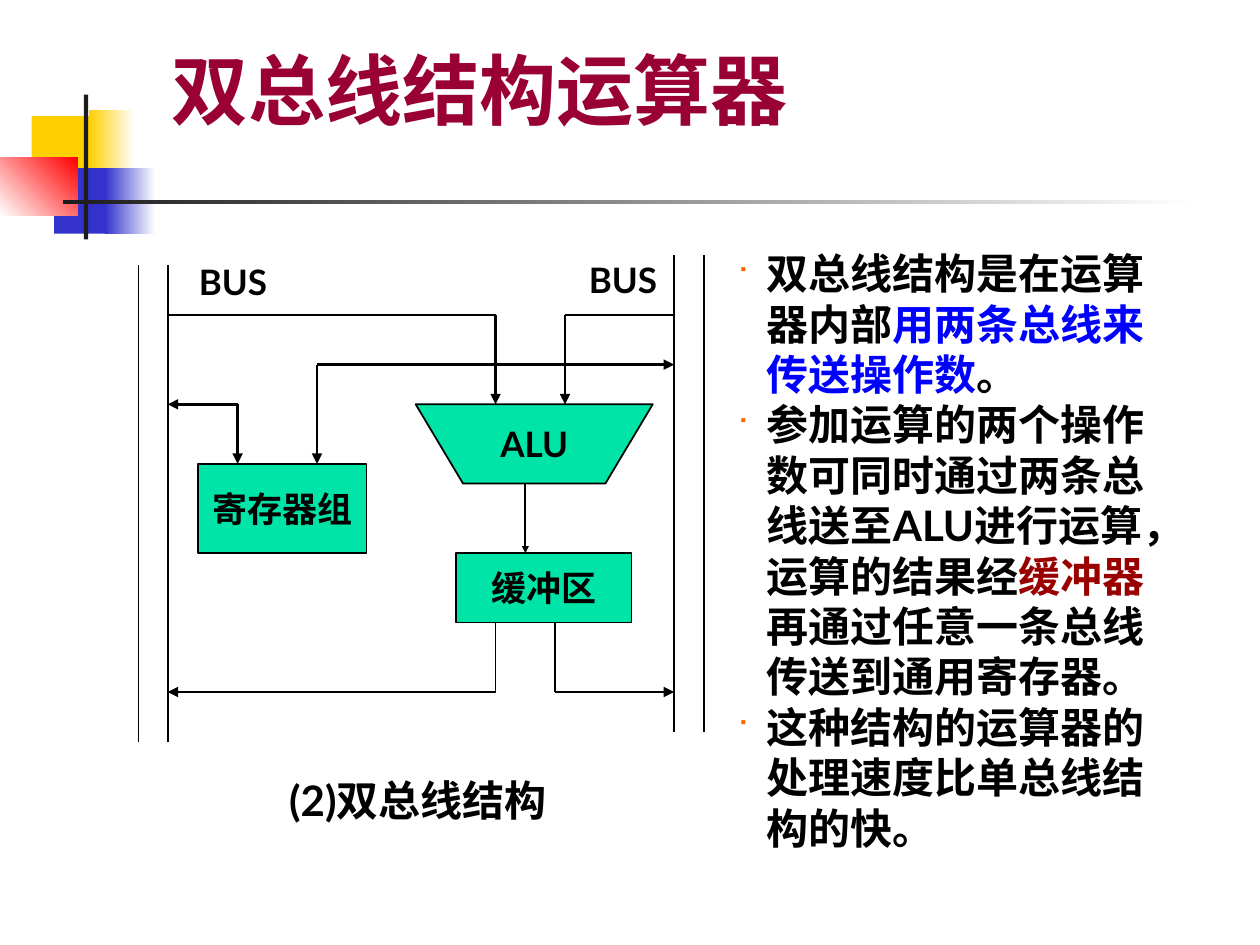
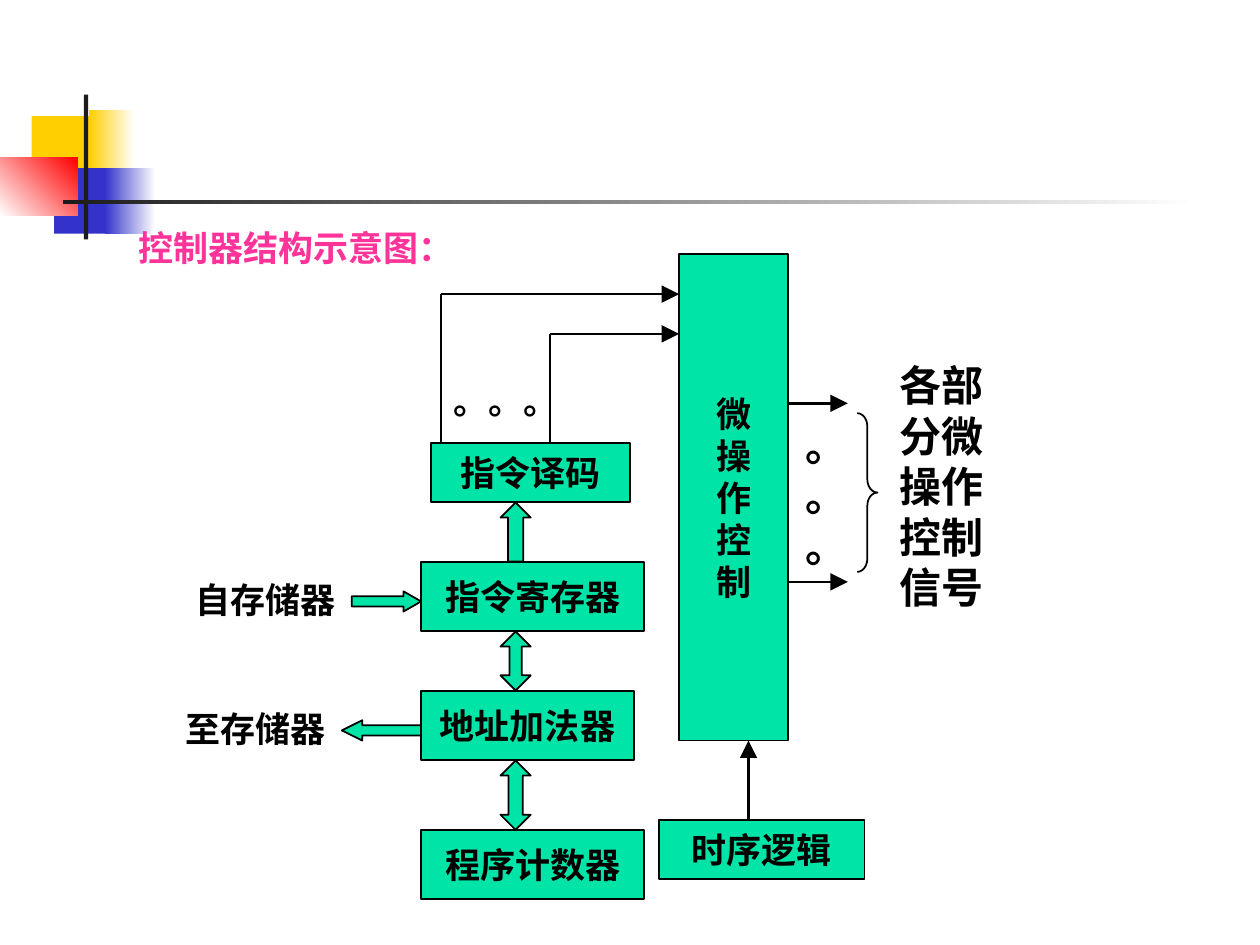
import pptx
import pptx.dml.color
import pptx.enum.lang
import pptx.enum.shapes
import pptx.enum.text
import pptx.oxml.ns
import pptx.util
import lxml.etree

Cm = pptx.util.Cm
SHAPE = pptx.enum.shapes.MSO_SHAPE
color = pptx.dml.color.RGBColor.from_string
qn = pptx.oxml.ns.qn

BLACK = "000000"
GREEN = "00E4A8"
YELLOW = "FFCF01"
NAVY = "3333CC"
DARK = "1C1C1C"
WHITE = "FFFFFF"
LATO = "Lato"
NOTO = "Noto Sans CJK SC"


def add_block(slide, kind, box, paragraphs=(), font=LATO, size=20, fill=GREEN, wrap=False):
    lengths = [Cm(value) for value in box]
    if kind is None:
        shape = slide.shapes.add_textbox(*lengths)
    else:
        shape = slide.shapes.add_shape(kind, *lengths)
        shape.shadow.inherit = False
        shape.line.color.rgb = color(BLACK)
        shape.line.width = pptx.util.Pt(1)
        if fill:
            shape.fill.solid()
            shape.fill.fore_color.rgb = color(fill)
        else:
            shape.fill.background()
    frame = shape.text_frame
    frame.word_wrap = wrap
    for index, runs in enumerate(paragraphs):
        paragraph = frame.add_paragraph() if index else frame.paragraphs[0]
        if kind is not None:
            paragraph.alignment = pptx.enum.text.PP_ALIGN.CENTER
        for text, ink in runs:
            run = paragraph.add_run()
            run.text = text
            run.font.size = pptx.util.Pt(size)
            run.font.bold = True
            run.font.color.rgb = color(ink)
            run.font.name = font
            run.font.language_id = pptx.enum.lang.MSO_LANGUAGE_ID.SIMPLIFIED_CHINESE
            lxml.etree.SubElement(run.font._element, qn("a:ea"), typeface=LATO)
    return shape


def add_line(slide, points, width=1.0, head=None):
    connector = slide.shapes.add_connector(
        pptx.enum.shapes.MSO_CONNECTOR.STRAIGHT, *[Cm(value) for value in points])
    connector.line.color.rgb = color(BLACK)
    connector.line.width = pptx.util.Pt(width)
    if head:
        lxml.etree.SubElement(connector.line._get_or_add_ln(), qn("a:tailEnd"),
                              type="triangle", w=head, len=head)
    lxml.etree.SubElement(connector._element.spPr, qn("a:effectLst"))


presentation = pptx.Presentation()
presentation.slide_width = Cm(25.4)
presentation.slide_height = Cm(19.05)

decorations = [
    ((0.64, 2.34, 1.22, 1.32), YELLOW, None, 0),
    ((1.8, 2.21, 0.91, 1.32), YELLOW, WHITE, 0),
    ((1.09, 3.39, 1.17, 1.32), NAVY, None, 0),
    ((2.11, 3.39, 1.02, 1.32), NAVY, WHITE, 0),
    ((0, 3.18, 1.57, 1.17), WHITE, "FF0000", 45),
    ((1.69, 1.91, 0.09, 2.92), DARK, None, 0),
    ((1.27, 4.04, 22.86, 0.08), DARK, WHITE, 0),
]
for number in range(2):
    slide = presentation.slides.add_slide(presentation.slide_layouts[6])
    for box, start, end, angle in decorations:
        decoration = add_block(slide, SHAPE.RECTANGLE, box, fill=start)
        decoration.line.fill.background()
        if end:
            decoration.fill.gradient()
            decoration.fill.gradient_angle = angle
            for stop, position, ink in zip(decoration.fill.gradient_stops, (0, 1), (start, end)):
                stop.position = position
                stop.color.rgb = color(ink)
bus_slide, controller_slide = presentation.slides

title = add_block(bus_slide, None, (3.2, -0.25, 21.64, 4.06),
                  [[("双总线结构运算器", "990033")]], size=44, wrap=True)
title.text_frame.vertical_anchor = pptx.enum.text.MSO_ANCHOR.MIDDLE

for kind, box, label in [
    (SHAPE.RECTANGLE, (3.99, 9.35, 3.4, 1.8), "寄存器组"),
    (SHAPE.FLOWCHART_MANUAL_OPERATION, (8.38, 8.15, 4.78, 1.6), "ALU"),
    (SHAPE.RECTANGLE, (9.2, 11.15, 3.53, 1.4), "缓冲区"),
    (None, (3.76, 5.13, 1.91, 1.12), "BUS"),
    (None, (11.62, 5.08, 1.91, 1.12), "BUS"),
]:
    add_block(bus_slide, kind, box, [[(label, BLACK)]])
add_block(bus_slide, None, (5.58, 15.49, 6.93, 1.27), [[("(2)双总线结构", BLACK)]], size=24, wrap=True)

left_bus, right_bus = 3.38, 13.59
for x, top, bottom in [(2.79, 5.34, 14.96), (left_bus, 5.34, 14.96),
                       (right_bus, 5.14, 14.76), (14.19, 5.14, 14.76)]:
    add_line(bus_slide, (x, bottom, x, top))
for points in [
    (left_bus, 6.35, 9.99, 6.35),
    (11.39, 6.35, right_bus, 6.35),
    (9.99, 12.55, 9.99, 13.95),
    (11.19, 12.55, 11.19, 13.95),
]:
    add_line(bus_slide, points)
for points in [
    (9.99, 6.35, 9.99, 8.15),
    (11.39, 6.35, 11.39, 8.15),
    (4.79, 8.15, 4.79, 9.35),
    (4.79, 8.15, left_bus, 8.15),
    (6.39, 7.35, 6.39, 9.35),
    (6.39, 7.35, right_bus, 7.35),
    (9.99, 13.95, left_bus, 13.95),
    (11.19, 13.95, right_bus, 13.95),
]:
    add_line(bus_slide, points, 1.5, "med")
add_line(bus_slide, (10.59, 9.75, 10.59, 11.15), 1, "sm")

explanation = add_block(bus_slide, None, (14.61, 4.87, 9.53, 12.45), [
    [("双总线结构是在运算器内部", BLACK), ("用两条总线来传送操作数", "0000FF"), ("。", BLACK)],
    [("参加运算的两个操作数可同时通过两条总线送至ALU进行运算，运算的结果经", BLACK),
     ("缓冲器", "990000"), ("再通过任意一条总线传送到通用寄存器。", BLACK)],
    [("这种结构的运算器的处理速度比单总线结构的快。", BLACK)],
], size=24, wrap=True)
for paragraph in explanation.text_frame.paragraphs:
    properties = paragraph._element.get_or_add_pPr()
    properties.set("marL", str(Cm(0.6)))
    properties.set("indent", str(-Cm(0.6)))
    properties.set("hangingPunct", "0")
    bullet_color = lxml.etree.SubElement(properties, qn("a:buClr"))
    lxml.etree.SubElement(bullet_color, qn("a:srgbClr"), val=str(color("FF6600")))
    lxml.etree.SubElement(properties, qn("a:buSzPct"), val="65000")
    lxml.etree.SubElement(properties, qn("a:buFont"), typeface="Wingdings", charset="2")
    lxml.etree.SubElement(properties, qn("a:buChar"), char="■")

for box, label in [
    ((8.69, 8.93, 4.01, 1.19), ["指令译码"]),
    ((8.49, 11.33, 4.5, 1.39), ["指令寄存器"]),
    ((8.49, 13.93, 4.29, 1.39), ["地址加法器"]),
    ((8.49, 16.73, 4.5, 1.39), ["程序计数器"]),
    ((13.69, 5.12, 2.2, 9.81), "微操作控制"),
    ((13.28, 16.53, 4.15, 1.19), ["时序逻辑"]),
]:
    add_block(controller_slide, SHAPE.RECTANGLE, box, [[(line, BLACK)] for line in label], NOTO)

for box, lines, ink, size, wrap in [
    ((3.69, 11.53, 3.61, 1.12), ["自存储器"], BLACK, 20, True),
    ((3.49, 14.13, 3.78, 1.12), ["至存储器"], BLACK, 20, True),
    ((17.88, 7.13, 2.49, 5.33), ["各部分微操作控制信号"], BLACK, 24, True),
    ((15.98, 8.33, 1.35, 3.3), "。。。", BLACK, 24, False),
    ((8.89, 7.52, 2.62, 1.12), ["。。。"], BLACK, 20, False),
    ((2.54, 4.45, 8.59, 1.12), ["控制器结构示意图："], "FF3399", 20, True),
]:
    add_block(controller_slide, None, box, [[(line, ink)] for line in lines], NOTO, size, wrap=wrap)

for kind, box, head_length in [
    (SHAPE.RIGHT_ARROW, (7.09, 11.92, 1.4, 0.41), 0.87),
    (SHAPE.LEFT_ARROW, (6.89, 14.52, 1.6, 0.41), 1.01),
    (SHAPE.UP_ARROW, (10.09, 10.13, 0.61, 1.19), 0.5),
    (SHAPE.UP_DOWN_ARROW, (10.09, 12.73, 0.61, 1.19), 0.4),
    (SHAPE.UP_DOWN_ARROW, (10.09, 15.33, 0.61, 1.4), 0.47),
]:
    arrow = add_block(controller_slide, kind, box)
    arrow.adjustments[0] = 0.5
    arrow.adjustments[1] = head_length

for x, y in [(8.89, 5.93), (11.09, 6.73)]:
    add_line(controller_slide, (x, 8.93, x, y))
    add_line(controller_slide, (x, y, 13.69, y), 1.5, "lg")
for y in (8.13, 11.73):
    add_line(controller_slide, (15.89, y, 17.09, y), 1.5, "lg")
add_line(controller_slide, (15.09, 16.53, 15.09, 14.93), 1.5, "lg")

brace = add_block(controller_slide, SHAPE.RIGHT_BRACE, (17.28, 8.33, 0.41, 3.2), fill=None)
brace.adjustments[0] = 0.65

presentation.save("out.pptx")
